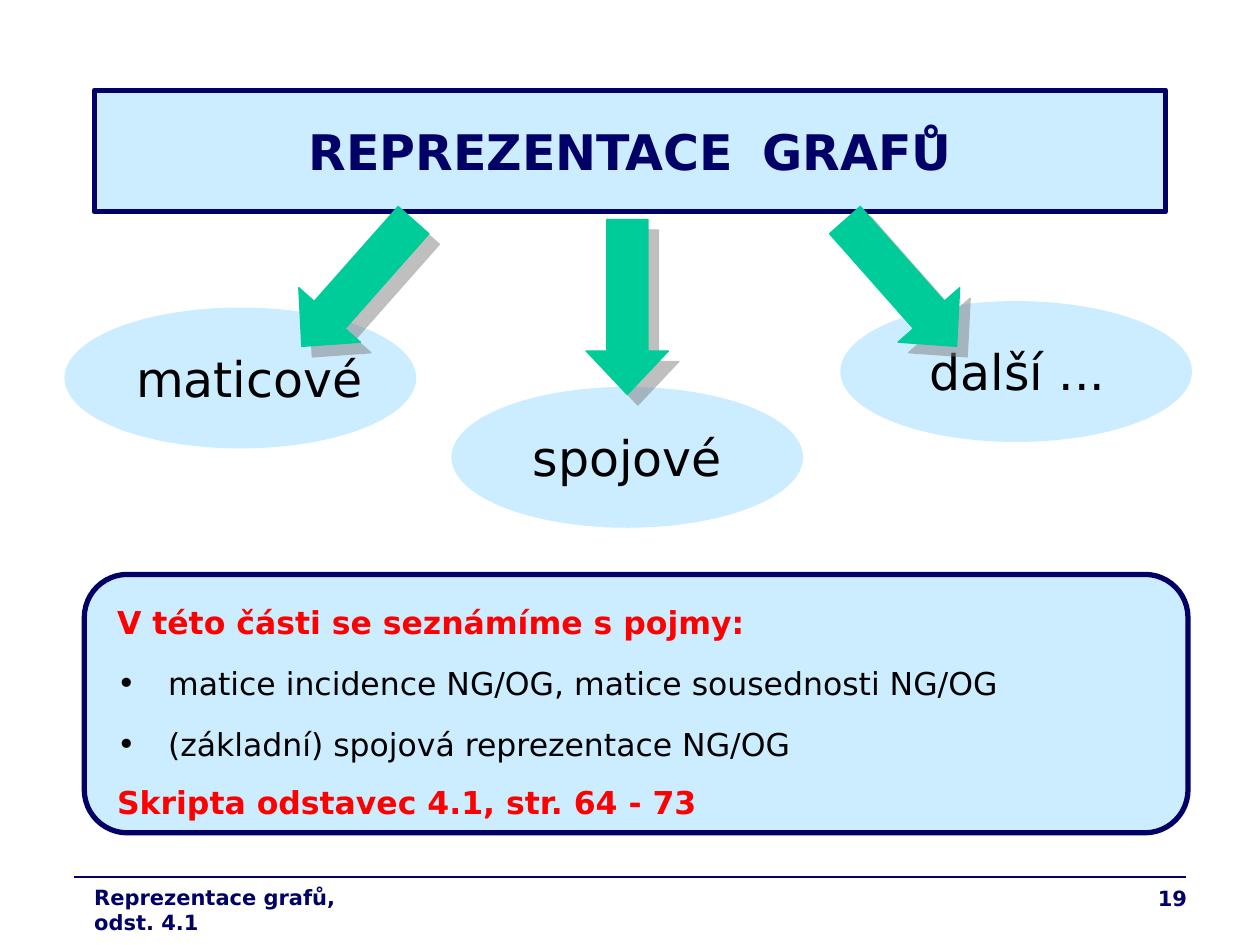
from dataclasses import dataclass

from lxml import etree
from pptx import Presentation
from pptx.dml.color import RGBColor
from pptx.enum.shapes import MSO_CONNECTOR, MSO_SHAPE
from pptx.enum.text import MSO_ANCHOR, PP_ALIGN
from pptx.oxml.ns import qn
from pptx.util import Cm, Pt

RECTANGLE = MSO_SHAPE.RECTANGLE
ROUNDED = MSO_SHAPE.ROUNDED_RECTANGLE
OVAL = MSO_SHAPE.OVAL
ARROW = MSO_SHAPE.RIGHT_ARROW
STRAIGHT = MSO_CONNECTOR.STRAIGHT
LEFT, CENTER, RIGHT = PP_ALIGN.LEFT, PP_ALIGN.CENTER, PP_ALIGN.RIGHT
TOP, MIDDLE = MSO_ANCHOR.TOP, MSO_ANCHOR.MIDDLE


@dataclass(frozen=True)
class Theme:
    font: str = "DejaVu Sans"
    navy: str = "000066"
    pale_blue: str = "CCECFF"
    green: str = "00CC99"
    red: str = "FF0000"
    black: str = "000000"
    shadow: str = "808080"
    heading_size: float = 28
    body_size: float = 18
    footer_size: float = 12
    frame_width: float = 3
    thin_width: float = 0.75


class SlideBuilder:
    def __init__(self, slide, theme):
        self.slide = slide
        self.theme = theme

    def outline(self, line, color, width):
        line.color.rgb = RGBColor.from_string(color)
        line.width = Pt(width)

    def shape(self, kind, left, top, width, height, fill, line=None, line_width=0):
        shape = self.slide.shapes.add_shape(kind, Cm(left), Cm(top), Cm(width), Cm(height))
        shape.shadow.inherit = False
        shape.fill.solid()
        shape.fill.fore_color.rgb = RGBColor.from_string(fill)
        if line:
            self.outline(shape.line, line, line_width)
        else:
            shape.line.fill.background()
        return shape

    def rule(self, left, right, top):
        connector = self.slide.shapes.add_connector(STRAIGHT, Cm(left), Cm(top), Cm(right), Cm(top))
        self.outline(connector.line, self.theme.navy, self.theme.thin_width)
        etree.SubElement(connector._element.spPr, qn("a:effectLst"))

    def arrow(self, left, top, width, angle, head):
        color = self.theme.green
        shape = self.shape(ARROW, left, top, width, 1.66, color, color, self.theme.thin_width)
        shape.adjustments[1] = head
        shape.rotation = angle
        effects = shape._element.spPr.find(qn("a:effectLst"))
        shadow = etree.SubElement(effects, qn("a:outerShdw"), dist=str(Pt(8.5)),
                                  dir="2700000", algn="ctr", rotWithShape="0")
        color_node = etree.SubElement(shadow, qn("a:srgbClr"), val=self.theme.shadow)
        etree.SubElement(color_node, qn("a:alpha"), val="50000")

    def style(self, paragraph, size, color, bold=False, alignment=LEFT):
        paragraph.alignment = alignment
        font = paragraph.font
        font.name, font.size, font.bold = self.theme.font, Pt(size), bold
        font.color.rgb = RGBColor.from_string(color)

    def text_frame(self, left, top, width, height):
        box = self.slide.shapes.add_textbox(Cm(left), Cm(top), Cm(width), Cm(height))
        box.text_frame.word_wrap = True
        box.text_frame.vertical_anchor = TOP
        return box.text_frame

    def text(self, left, top, width, height, content, size, color, bold=False, alignment=LEFT):
        paragraph = self.text_frame(left, top, width, height).paragraphs[0]
        paragraph.text = content
        self.style(paragraph, size, color, bold, alignment)

    def title(self, first_word, second_word):
        theme = self.theme
        shape = self.shape(RECTANGLE, 1.9, 1.82, 21.6, 2.45, theme.pale_blue, theme.navy, theme.frame_width)
        shape.text_frame.vertical_anchor = MIDDLE
        paragraph = shape.text_frame.paragraphs[0]
        self.style(paragraph, theme.heading_size, theme.navy, True, CENTER)
        paragraph.add_run().text = first_word
        gap = paragraph.add_run()
        gap.text = " "
        gap._r.get_or_add_rPr().set("spc", "700")
        paragraph.add_run().text = second_word

    def topic(self, left, top, label, label_shift):
        theme = self.theme
        width, height, label_height = 7.09, 2.84, 1.45
        self.shape(OVAL, left, top, width, height, theme.pale_blue)
        self.text(left + label_shift, top + (height - label_height) / 2, width, label_height,
                  label, theme.heading_size, theme.black, alignment=CENTER)

    def bullet(self, paragraph):
        indent = Cm(1.03)
        paragraph.line_spacing = 1.3
        paragraph.space_before = Pt(6.8)
        properties = paragraph._p.get_or_add_pPr()
        properties.set("marL", str(indent))
        properties.set("indent", str(-indent))
        etree.SubElement(properties, qn("a:buFont"), typeface=self.theme.font)
        etree.SubElement(properties, qn("a:buChar"), char="•")

    def summary(self, heading, items, reference):
        theme = self.theme
        self.shape(ROUNDED, 1.7, 11.58, 22.25, 5.21, theme.pale_blue, theme.navy, theme.frame_width)
        frame = self.text_frame(2.11, 12.04, 21.41, 4.65)
        for index, content in enumerate([heading, *items, reference]):
            paragraph = frame.add_paragraph() if index else frame.paragraphs[0]
            paragraph.text = content
            if content in items:
                self.bullet(paragraph)
                self.style(paragraph, theme.body_size, theme.black)
            else:
                paragraph.space_before = Pt(11.2)
                self.style(paragraph, theme.body_size, theme.red, True)

    def footer(self, label, number):
        theme = self.theme
        self.rule(1.5, 23.9, 17.68)
        self.text(1.65, 17.7, 6.63, 0.76, label, theme.footer_size, theme.navy, True)
        self.text(18.9, 17.73, 5.28, 0.91, number, theme.footer_size, theme.navy, True, RIGHT)


def main():
    presentation = Presentation()
    presentation.slide_width, presentation.slide_height = Cm(25.4), Cm(19.05)
    slide = presentation.slides.add_slide(presentation.slide_layouts[6])
    builder = SlideBuilder(slide, Theme())

    builder.title("REPREZENTACE", "GRAFŮ")
    for left, top, label, label_shift in [
        (1.3, 6.2, "maticové", 0.18),
        (9.1, 7.8, "spojové", 0),
        (16.94, 6.07, "další ...", 0.03),
    ]:
        builder.topic(left, top, label, label_shift)
    for left, top, width, angle, head in [
        (5.51, 4.88, 3.4, 131.5, 0.51),
        (10.88, 5.36, 3.53, 90, 0.53),
        (16.46, 4.88, 3.4, 48.5, 0.51),
    ]:
        builder.arrow(left, top, width, angle, head)
    builder.summary(
        "V této části se seznámíme s pojmy:",
        ["matice incidence NG/OG, matice sousednosti NG/OG",
         "(základní) spojová reprezentace NG/OG"],
        "Skripta odstavec 4.1, str. 64 - 73",
    )
    builder.footer("Reprezentace grafů, odst. 4.1", "19")
    presentation.save("out.pptx")


if __name__ == "__main__":
    main()
